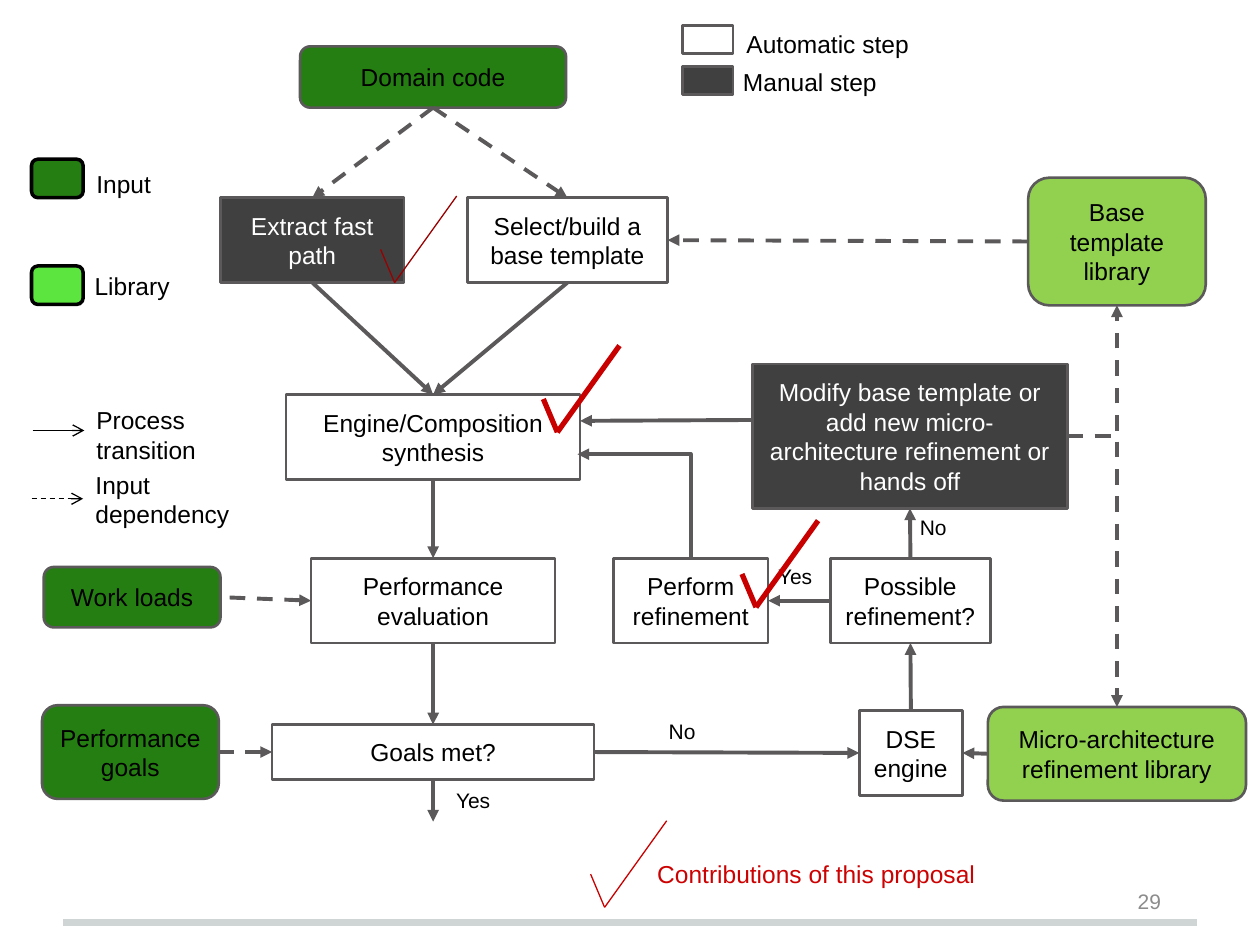
from lxml import etree
from pptx import Presentation
from pptx.dml.color import RGBColor
from pptx.enum.dml import MSO_LINE
from pptx.enum.shapes import MSO_CONNECTOR, MSO_SHAPE
from pptx.enum.text import MSO_ANCHOR, PP_ALIGN
from pptx.oxml.ns import qn
from pptx.util import Pt

RECT, ROUND = MSO_SHAPE.RECTANGLE, MSO_SHAPE.ROUNDED_RECTANGLE
STRAIGHT, ELBOW = MSO_CONNECTOR.STRAIGHT, MSO_CONNECTOR.ELBOW
CENTER, LEFT, RIGHT = PP_ALIGN.CENTER, PP_ALIGN.LEFT, PP_ALIGN.RIGHT
MIDDLE, TOP_ANCHOR = MSO_ANCHOR.MIDDLE, MSO_ANCHOR.TOP
DASH = MSO_LINE.DASH
TOP_SIDE, LEFT_SIDE, BOTTOM_SIDE, RIGHT_SIDE = range(4)

BLACK = RGBColor(0x00, 0x00, 0x00)
WHITE = RGBColor(0xFF, 0xFF, 0xFF)
CHARCOAL = RGBColor(0x40, 0x40, 0x40)
OUTLINE = RGBColor(0x5B, 0x59, 0x5A)
INPUT_GREEN = RGBColor(0x25, 0x7E, 0x12)
LIBRARY_GREEN = RGBColor(0x92, 0xD0, 0x50)
KEY_GREEN = RGBColor(0x5C, 0xE4, 0x3F)
RED = RGBColor(0xC9, 0x00, 0x00)
DARK_RED = RGBColor(0x99, 0x01, 0x01)
CAPTION_RED = RGBColor(0xCC, 0x02, 0x02)
PAGE_GRAY = RGBColor(0x8C, 0x8C, 0x8C)
FOOTER_GRAY = RGBColor(0xCF, 0xD4, 0xD4)

BOXES = {
    "Domain code": (ROUND, INPUT_GREEN, 171.5, 26.5, 152, 35),
    "Extract fast path": (RECT, CHARCOAL, 126, 113, 105, 48.5),
    "Select/build a base template": (RECT, WHITE, 267, 113, 114.5, 48.5),
    "Engine/Composition synthesis": (RECT, WHITE, 163.5, 225.5, 168, 48.5),
    "Performance evaluation": (RECT, WHITE, 177.75, 319, 139.5, 48.5),
    "Goals met?": (RECT, WHITE, 155.5, 414, 184, 31.5),
    "Perform refinement": (RECT, WHITE, 350.5, 319, 88.5, 48.5),
    "Possible refinement?": (RECT, WHITE, 474.5, 319, 91.5, 48.5),
    "DSE engine": (RECT, WHITE, 491, 406, 59, 48.5),
    "Modify base template or add new micro-architecture refinement or hands off":
        (RECT, CHARCOAL, 430, 208, 180, 82.5),
    "Work loads": (ROUND, INPUT_GREEN, 25, 324, 101, 34.5),
    "Performance goals": (ROUND, INPUT_GREEN, 24, 403, 101, 53.5),
    "Base template library": (ROUND, LIBRARY_GREEN, 587.5, 101.5, 101.5, 73),
    "Micro-architecture refinement library":
        (ROUND, LIBRARY_GREEN, 564.5, 404, 147.5, 53.5),
}
KEY_SHAPES = [
    (RECT, WHITE, 390, 14.5, 29, 16, OUTLINE, 1.5),
    (RECT, CHARCOAL, 390, 38, 29, 16, OUTLINE, 1.5),
    (ROUND, INPUT_GREEN, 18, 91, 29.5, 22, BLACK, 2),
    (ROUND, KEY_GREEN, 18, 152, 29.5, 22, BLACK, 2),
]
KEY_TEXTS = [
    ("Automatic step", 419.5, 13.2, 128, 24),
    ("Manual step", 417.5, 35, 194, 24),
    ("Input", 48, 92.9, 128, 24),
    ("Library", 47, 151.2, 128, 24),
    ("Process transition", 48, 228, 114, 41),
    ("Input dependency", 47.5, 265, 114, 41),
]
ANSWERS = [
    ("No", 375, 403.5, 37),
    ("Yes", 253.5, 443, 37),
    ("No", 518.5, 287, 32.5),
    ("Yes", 437.5, 315, 37),
]
CHECKS = [
    (318.5, 247, RED, 3),
    (225.5, 161.5, DARK_RED, 0.75),
    (432, 347, RED, 3),
    (345.5, 518.5, RED, 0.75),
]


def write(frame, text, size, color, align=LEFT, anchor=TOP_ANCHOR, inset=3.6):
    """Put one formatted paragraph in a text frame."""
    frame.word_wrap = True
    frame.vertical_anchor = anchor
    frame.margin_left = frame.margin_right = Pt(7.2)
    frame.margin_top = frame.margin_bottom = Pt(inset)
    frame.text = text
    para = frame.paragraphs[0]
    para.alignment = align
    para.font.name = "Arial"
    para.font.size = Pt(size)
    para.font.color.rgb = color


def add_box(page, kind, fill, left, top, width, height, outline=OUTLINE, weight=1.5):
    """Add a filled and outlined box."""
    box = page.shapes.add_shape(kind, Pt(left), Pt(top), Pt(width), Pt(height))
    box.shadow.inherit = False
    box.fill.solid()
    box.fill.fore_color.rgb = fill
    box.line.color.rgb = outline
    box.line.width = Pt(weight)
    return box


def add_label(page, text, left, top, width, height, size=14, color=BLACK, **layout):
    """Add a free text label."""
    label = page.shapes.add_textbox(Pt(left), Pt(top), Pt(width), Pt(height))
    write(label.text_frame, text, size, color, **layout)


def add_line(shapes, start=(0, 0), end=(0, 0), color=OUTLINE, weight=2.25,
             dashed=False, head=None, tail=None, kind=STRAIGHT):
    """Add a connector with optional dashes and arrowheads."""
    line = shapes.add_connector(kind, *(Pt(value) for value in (*start, *end)))
    line.line.color.rgb = color
    line.line.width = Pt(weight)
    if dashed:
        line.line.dash_style = DASH
    properties = line._element.spPr
    outline = properties.find(qn("a:ln"))
    for tag, arrow in (("a:headEnd", head), ("a:tailEnd", tail)):
        if arrow:
            etree.SubElement(outline, qn(tag)).set("type", arrow)
    etree.SubElement(properties, qn("a:effectLst"))
    if kind == ELBOW:
        properties.find(qn("a:prstGeom")).set("prst", "bentConnector2")
    return line


def join(page, source, source_side, target, target_side, **style):
    """Connect the sides of two boxes."""
    line = add_line(page.shapes, **style)
    line.begin_connect(source, source_side)
    line.end_connect(target, target_side)


def add_check(page, x, y, color, weight):
    """Add a grouped check mark whose low point is at x, y."""
    group = page.shapes.add_group_shape()
    for start, end in (((x - 8, y - 19), (x, y)), ((x, y), (x + 35.5, y - 49.5))):
        add_line(group.shapes, start, end, color, weight)


def add_flow(page):
    """Add the flow chart boxes and the arrows between them."""
    boxes = []
    for text, (kind, fill, *place) in BOXES.items():
        box = add_box(page, kind, fill, *place)
        color = WHITE if fill == CHARCOAL else BLACK
        write(box.text_frame, text, 14, color, CENTER, MIDDLE, 7.2)
        boxes.append(box)
    (domain, extract, select, engine, evaluation, goals, perform, possible,
     dse, modify, loads, targets, base, micro) = boxes
    for source, target in ((extract, engine), (select, engine),
                           (engine, evaluation), (evaluation, goals)):
        join(page, source, BOTTOM_SIDE, target, TOP_SIDE, tail="triangle")
    for target in (extract, select):
        join(page, domain, BOTTOM_SIDE, target, TOP_SIDE, dashed=True, tail="triangle")
    for source, target in ((dse, possible), (possible, modify)):
        join(page, source, TOP_SIDE, target, BOTTOM_SIDE, tail="triangle")
    for target, source in ((evaluation, loads), (goals, targets)):
        join(page, target, LEFT_SIDE, source, RIGHT_SIDE, dashed=True, head="triangle")
    join(page, goals, RIGHT_SIDE, dse, LEFT_SIDE, tail="triangle")
    join(page, perform, RIGHT_SIDE, possible, LEFT_SIDE, head="triangle")
    join(page, dse, RIGHT_SIDE, micro, LEFT_SIDE, dashed=True, head="triangle")
    join(page, base, LEFT_SIDE, select, RIGHT_SIDE, dashed=True, tail="triangle")
    leave = add_line(page.shapes, end=(247.5, 469.5), tail="triangle")
    leave.begin_connect(goals, BOTTOM_SIDE)
    add_line(page.shapes, (331.5, 240.5), (430, 240), head="triangle")
    add_line(page.shapes, (330, 259.5), (394.75, 319), head="triangle", kind=ELBOW)
    for end in ((638.25, 404), (638.25, 174.5)):
        add_line(page.shapes, (610, 249.25), end, dashed=True, tail="triangle", kind=ELBOW)


def add_key(page):
    """Add the legend."""
    for shape in KEY_SHAPES:
        add_box(page, *shape)
    for text in KEY_TEXTS:
        add_label(page, *text)
    for left, y, dashed in ((18.7, 246, False), (18, 285, True)):
        add_line(page.shapes, (left, y), (left + 29.5, y), BLACK, 0.75, dashed, tail="arrow")


def main():
    """Build the deck."""
    deck = Presentation()
    deck.slide_width, deck.slide_height = Pt(720), Pt(540)
    page = deck.slides.add_slide(deck.slide_layouts[6])
    add_line(page.shapes, (36, 527), (684, 527), FOOTER_GRAY, 4)
    add_flow(page)
    add_key(page)
    for text, left, top, width in ANSWERS:
        add_label(page, text, left, top, width, 29, 12, inset=7.2)
    for check in CHECKS:
        add_check(page, *check)
    add_label(page, "Contributions of this proposal", 368.5, 487.5, 224, 24, color=CAPTION_RED)
    add_label(page, "29", 508.5, 500.5, 162, 29, 12, PAGE_GRAY, align=RIGHT, anchor=MIDDLE)
    deck.save("out.pptx")


if __name__ == "__main__":
    main()
